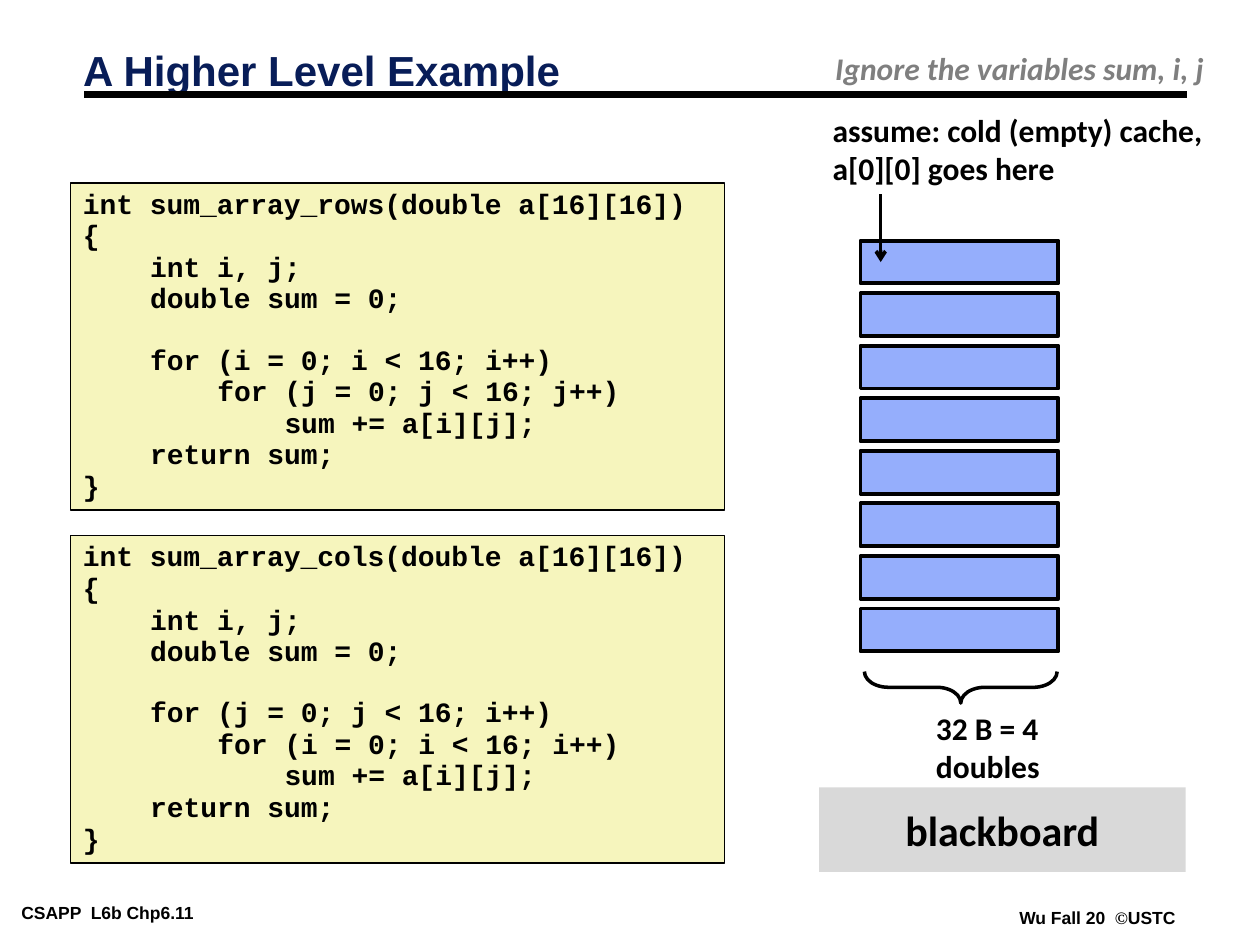
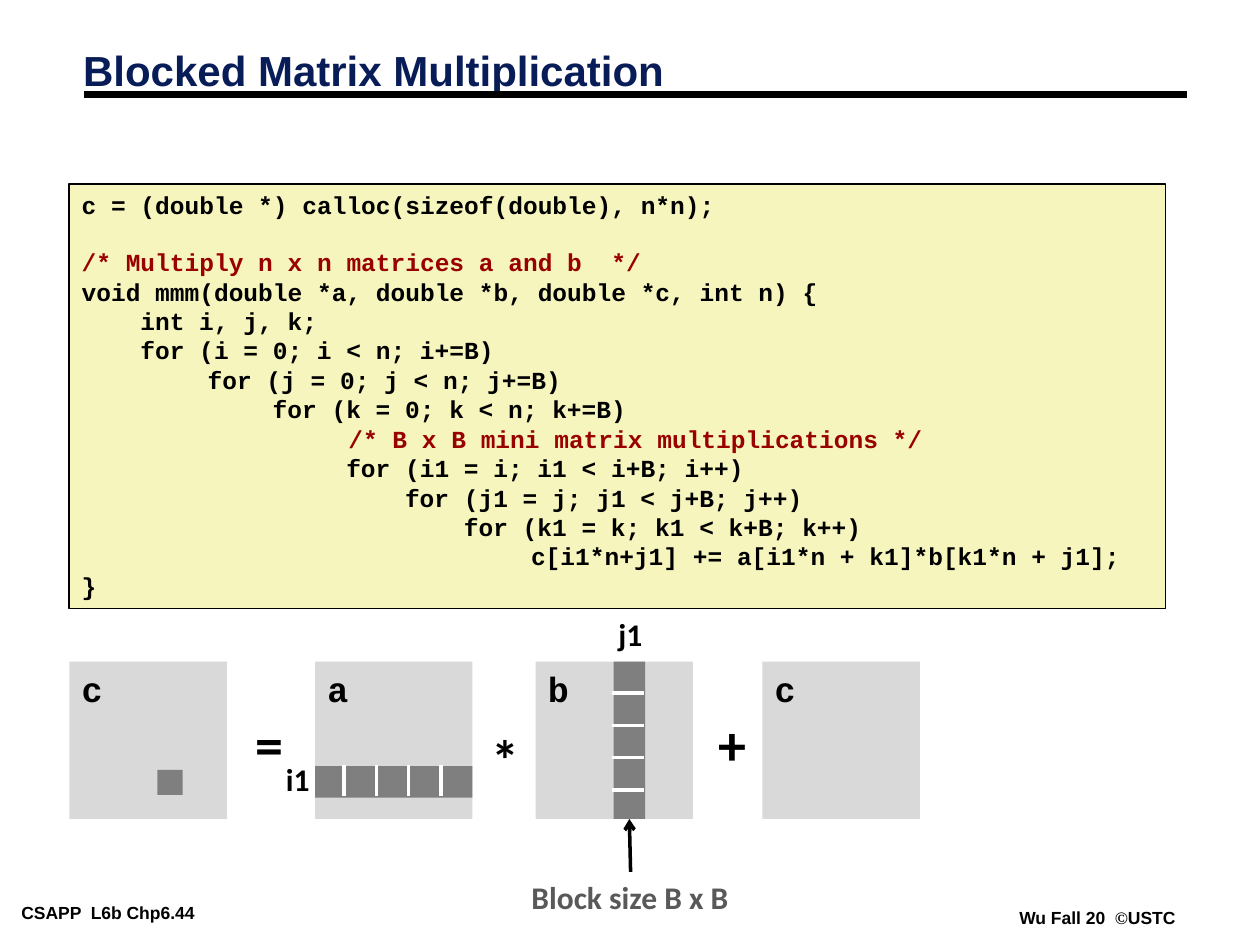
from pptx import Presentation
from pptx.dml.color import RGBColor as RGB
from pptx.enum.shapes import MSO_CONNECTOR as LINK, MSO_SHAPE as SHAPE
from pptx.enum.text import MSO_ANCHOR as ANCHOR, MSO_AUTO_SIZE as AUTO, PP_ALIGN as ALIGN
from pptx.oxml.ns import qn
from pptx.util import Inches, Pt
from lxml.etree import SubElement

COLORS = {
    "black": "000000", "white": "FFFFFF", "navy": "081D58", "cream": "F6F5BD",
    "blue": "95AEFC", "light": "D9D9D9", "gray": "7F7F7F", "dark": "595959",
    "red": "990000",
}
CODE_FONT = "Courier New"


def color(name):
    return RGB.from_string(COLORS[name])


def style(par, size, tint="black", face="Calibri", italic=False):
    for run in par.runs:
        font = run.font
        font.size, font.name, font.bold, font.italic = Pt(size), face, True, italic
        font.color.rgb = color(tint)


def pad(frame, side=0.1, end=0.05):
    frame.margin_left = frame.margin_right = Inches(side)
    frame.margin_top = frame.margin_bottom = Inches(end)


def label(slide, box, text, size=18, tint="black", face="Calibri", italic=False):
    """Add a text box that grows with its text instead of wrapping it."""
    note = slide.shapes.add_textbox(*map(Inches, box))
    frame = note.text_frame
    frame.text = text
    frame.word_wrap = False
    frame.auto_size = AUTO.SHAPE_TO_FIT_TEXT
    pad(frame)
    for par in frame.paragraphs:
        style(par, size, tint, face, italic)
    return note


def block(slide, box, fill, line=0, kind=SHAPE.RECTANGLE):
    """Add a shape; no fill name leaves it hollow, no line width bare."""
    part = slide.shapes.add_shape(kind, *map(Inches, box))
    part.shadow.inherit = False
    if fill:
        part.fill.solid()
        part.fill.fore_color.rgb = color(fill)
    else:
        part.fill.background()
    if line:
        part.line.width = Pt(line)
        part.line.color.rgb = color("black")
    else:
        part.line.fill.background()
    return part


def stroke(slide, start, end, width=2, tint="black", arrow=False):
    link = slide.shapes.add_connector(LINK.STRAIGHT, *map(Inches, start + end))
    link.line.width = Pt(width)
    link.line.color.rgb = color(tint)
    if arrow:
        SubElement(link.line._get_or_add_ln(), qn("a:tailEnd"), type="arrow")
    SubElement(link._element.spPr, qn("a:effectLst"))
    return link


def spread(first, last, count):
    return [first + (last - first) * i / (count - 1) for i in range(count)]


def code_box(slide, box, code, size, spacing=1.0):
    """Show code: tabs (1 inch) and spaces become indents, blank lines spacing."""
    frame = block(slide, box, "cream", 1).text_frame
    frame.vertical_anchor = ANCHOR.TOP
    frame.word_wrap = True
    pad(frame)
    par, gap = frame.paragraphs[0], 0
    for row in code.strip().split("\n"):
        text = row.lstrip()
        if not text:
            gap = size * 1.13 * spacing
            continue
        if par.text:
            par = frame.add_paragraph()
        par.text = text
        par.alignment = ALIGN.LEFT
        par.line_spacing = spacing
        par.space_before, gap = Pt(gap), 0
        lead = row[:len(row) - len(text)]
        inset = Inches(lead.count("\t")) + Pt(lead.count(" ") * size * 0.6)
        par._p.get_or_add_pPr().set("marL", str(inset))
        style(par, size, "red" if text.startswith("/*") else "black", CODE_FONT)


def base(deck, title, page):
    """Start a slide with its title, rule and footers."""
    slide = deck.slides.add_slide(deck.slide_layouts[5])
    for text, box in ((f"CSAPP  L6b Chp6.{page}", (0.1, 7.13, 2.03, 0.22)),
                      ("Wu Fall 20  ", (8.02, 7.17, 1.38, 0.22))):
        foot = label(slide, box, text, 10, face="Arial").text_frame
        pad(foot, 0.07, 0.03)
    par = foot.paragraphs[0]
    for text in ("©", "USTC"):
        par.add_run().text = text
    style(par, 10, face="Arial")
    par.runs[1].font.name = "Times New Roman"
    stroke(slide, (0.67, 0.75), (9.42, 0.75), 4.5)

    head = slide.shapes.title
    head.left, head.top, head.width, head.height = map(Inches, (0.56, 0.36, 8.3, 0.45))
    frame = head.text_frame
    frame.text = title
    frame.auto_size = AUTO.NONE
    frame.vertical_anchor = ANCHOR.MIDDLE
    pad(frame)
    par = frame.paragraphs[0]
    par.alignment, par.line_spacing = ALIGN.LEFT, 0.87
    style(par, 24, "navy", "Arial")
    return slide


def sum_code(order, outer, inner):
    return f"""
int sum_array_{order}(double a[16][16])
{{
    int i, j;
    double sum = 0;

    for ({outer} = 0; {outer} < 16; i++)
        for ({inner} = 0; {inner} < 16; {inner}++)
            sum += a[i][j];
    return sum;
}}"""


def cache(slide, left, top):
    """Draw the cache lines, with the notes above and below them."""
    wide, high = 1.57, 0.34
    for y in spread(top, top + 2.92, 8):
        block(slide, (left, y, wide, high), "blue", 2.25)
    brace = block(slide, (left + 0.67, top + 2.78, 0.25, 1.53), None, 2,
                  SHAPE.RIGHT_BRACE)
    brace.rotation = 90
    brace.adjustments[0] = 0.76
    label(slide, (left + 0.5, top + 3.67, 1.89, 0.4), "32 B = 4 doubles")
    label(slide, (left - 0.32, top - 1.08, 3.14, 0.7),
          "assume: cold (empty) cache,\na[0][0] goes here")
    x = left + 0.16
    stroke(slide, (x, top - 0.37), (x, top + 0.17), arrow=True)


def sum_slide(deck):
    slide = base(deck, "A Higher Level Example", 11)
    for top, names in ((1.45, ("rows", "i", "j")), (4.25, ("cols", "j", "i"))):
        code_box(slide, (0.56, top, 5.19, 2.6), sum_code(*names), 16, 0.94)
    cache(slide, 6.83, 1.91)
    board = block(slide, (6.5, 6.25, 2.91, 0.67), "light").text_frame
    board.text = "blackboard"
    board.vertical_anchor = ANCHOR.MIDDLE
    board.paragraphs[0].alignment = ALIGN.CENTER
    style(board.paragraphs[0], 24)
    label(slide, (6.53, 0.34, 3.13, 0.4), "Ignore the variables sum, i, j",
          tint="gray", italic=True)


BLOCK_CODE = """
c = (double *) calloc(sizeof(double), n*n);

/* Multiply n x n matrices a and b  */
void mmm(double *a, double *b, double *c, int n) {
    int i, j, k;
    for (i = 0; i < n; i+=B)
\tfor (j = 0; j < n; j+=B)
             for (k = 0; k < n; k+=B)
\t\t /* B x B mini matrix multiplications */
                  for (i1 = i; i1 < i+B; i++)
                      for (j1 = j; j1 < j+B; j++)
                          for (k1 = k; k1 < k+B; k++)
\t                      c[i1*n+j1] += a[i1*n + k1]*b[k1*n + j1];
}"""


def matrix(slide, left, top, name, side):
    frame = block(slide, (left, top, side, side), "light").text_frame
    frame.text = name
    frame.vertical_anchor = ANCHOR.TOP
    pad(frame)
    frame.paragraphs[0].alignment = ALIGN.LEFT
    style(frame.paragraphs[0], 20, face=CODE_FONT)


def product(slide, top):
    """Draw c = a * b + c, with the blocks in use and their labels."""
    side, cell = 1.25, 0.25
    for name, left in (("c", 0.55), ("a", 2.5), ("b", 4.25), ("c", 6.05)):
        matrix(slide, left, top, name, side)
    for sign, left, drop in (("=", 1.93, 0.33), ("*", 3.8, 0.45), ("+", 5.6, 0.33)):
        label(slide, (left, top + drop, 0.42, 0.64), sign, 32)
    label(slide, (2.17, top + 0.73, 0.39, 0.4), "i1")
    label(slide, (4.81, top - 0.42, 0.39, 0.4), "j1")

    block(slide, (1.25, top + 0.86, 0.2, 0.2), "gray")
    row, col = top + 0.83, 4.87
    block(slide, (2.5, row, side, cell), "gray")
    bar = block(slide, (col, top, cell, side), "gray")
    for x in spread(2.73, 3.5, 4):
        stroke(slide, (x, row - 0.01), (x, row + 0.24), tint="white")
    for y in spread(top + 0.25, top + 1.02, 4):
        stroke(slide, (col - 0.01, y), (col + 0.24, y), tint="white")

    note = label(slide, (4.12, top + 1.67, 1.77, 0.4), "Block size B x B", tint="dark")
    arrow = stroke(slide, (5, top + 1.67), (5, top + side), arrow=True)
    arrow.begin_connect(note, 0)
    arrow.end_connect(bar, 2)


def block_slide(deck):
    slide = base(deck, "Blocked Matrix Multiplication", 44)
    code_box(slide, (0.55, 1.46, 8.7, 3.37), BLOCK_CODE, 14)
    product(slide, 5.25)


def main():
    deck = Presentation()
    deck.slide_width, deck.slide_height = Inches(10), Inches(7.5)
    sum_slide(deck)
    block_slide(deck)
    deck.save("out.pptx")


if __name__ == "__main__":
    main()
